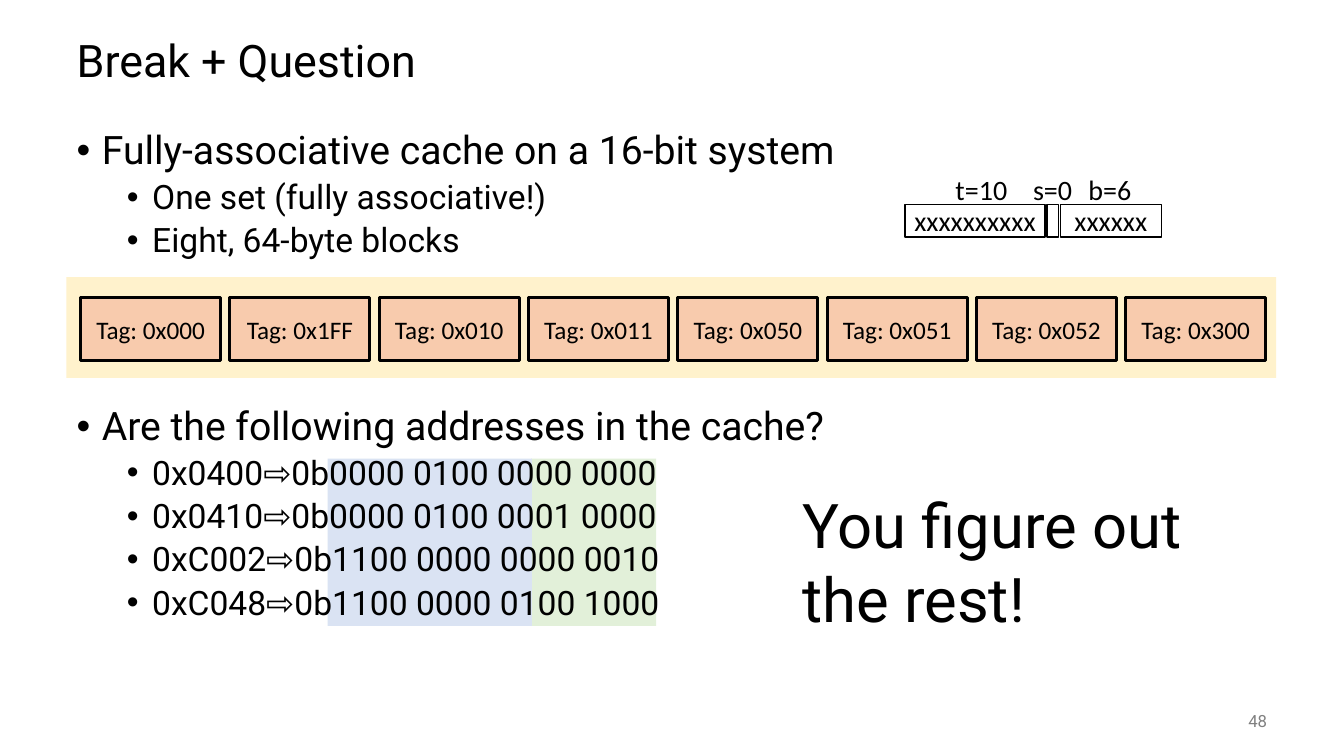
import pptx
import pptx.dml.color
import pptx.enum.shapes
import pptx.enum.text
import pptx.oxml.ns
import pptx.util
from lxml import etree

Pt = pptx.util.Pt
RGBColor = pptx.dml.color.RGBColor
ALIGN = pptx.enum.text.PP_ALIGN
ANCHOR = pptx.enum.text.MSO_ANCHOR
AUTO_SIZE = pptx.enum.text.MSO_AUTO_SIZE
RECTANGLE = pptx.enum.shapes.MSO_SHAPE.RECTANGLE

BLACK = RGBColor(0x00, 0x00, 0x00)
WHITE = RGBColor(0xFF, 0xFF, 0xFF)
GRAY = RGBColor(0x80, 0x80, 0x80)
GREEN = RGBColor(0xE2, 0xF0, 0xD9)
BLUE = RGBColor(0xDA, 0xE3, 0xF3)
YELLOW = RGBColor(0xFF, 0xF2, 0xCC)
ORANGE = RGBColor(0xF8, 0xCB, 0xAD)

# Content
HEADING = "Break + Question"
# (level, space before, text); the wide space leaves room for the cache row
BULLETS = [
    (0, 0, "Fully-associative cache on a 16-bit system"),
    (1, 5, "One set (fully associative!)"),
    (1, 5, "Eight, 64-byte blocks"),
    (0, 105, "Are the following addresses in the cache?"),
    (1, 5, "0x0400⇨0b0000 0100 0000 0000"),
    (1, 5, "0x0410⇨0b0000 0100 0001 0000"),
    (1, 5, "0xC002⇨0b1100 0000 0000 0010"),
    (1, 5, "0xC048⇨0b1100 0000 0100 1000"),
]
TAGS = ["0x000", "0x1FF", "0x010", "0x011", "0x050", "0x051", "0x052", "0x300"]
# (bits, left, width) of each address field
ADDRESS_FIELDS = [("x" * 10, 646.5, 100), ("", 748, 8), ("x" * 6, 757.5, 72)]
# (text, left, width) of the label over each field
FIELD_LABELS = [("t=10", 675.4, 51.8), ("s=0", 730.8, 42.5), ("b=6", 770.4, 45.4)]
# (colour, left, width) of the bit-range highlights
HIGHLIGHTS = [(GREEN, 379.4, 89.3), (BLUE, 234, 146)]
ANSWER = "You figure out the rest!"
PAGE = "48"

# Geometry and level formats
MARGIN, CONTENT_WIDTH = 47.5, 864
TAG_LEFT, TAG_WIDTH, TAG_PITCH = 57.6, 100, 106.65
LEVEL_SIZES = (28, 24)
LEVEL_INDENTS = (18, 54)
HANGING = 18


def apply(target, formats):
    for name, value in formats.items():
        setattr(target, name, value)


def place(shape, left, top, width, height):
    apply(shape, {"left": Pt(left), "top": Pt(top),
                  "width": Pt(width), "height": Pt(height)})


def write(shape, text, size, font="Calibri", color=BLACK, align=ALIGN.LEFT,
          anchor=ANCHOR.TOP, wrap=True, spacing=1.0):
    apply(shape.text_frame, {"text": text, "word_wrap": wrap,
                             "vertical_anchor": anchor,
                             "auto_size": AUTO_SIZE.NONE})
    paragraph = shape.text_frame.paragraphs[0]
    apply(paragraph, {"alignment": align, "line_spacing": spacing})
    apply(paragraph.font, {"name": font, "size": Pt(size)})
    paragraph.font.color.rgb = color


def add_box(box, fill, line_width=0):
    shape = slide.shapes.add_shape(RECTANGLE, *map(Pt, box))
    shape.shadow.inherit = False
    shape.fill.solid()
    shape.fill.fore_color.rgb = fill
    if line_width:
        shape.line.color.rgb = BLACK
        shape.line.width = Pt(line_width)
    else:
        shape.line.fill.background()
    return shape


def add_label(box, text, size, **formats):
    label = slide.shapes.add_textbox(*map(Pt, box))
    write(label, text, size, **formats)


def add_bullet(paragraph, level):
    properties = paragraph._p.get_or_add_pPr()
    properties.set("marL", str(Pt(LEVEL_INDENTS[level])))
    properties.set("indent", str(-Pt(HANGING)))
    for tag, name, value in (("a:buFont", "typeface", "Arial"),
                             ("a:buChar", "char", "•")):
        etree.SubElement(properties, pptx.oxml.ns.qn(tag)).set(name, value)


presentation = pptx.Presentation()
apply(presentation, {"slide_width": Pt(960), "slide_height": Pt(540)})
slide = presentation.slides.add_slide(presentation.slide_layouts[1])
heading, bullets = slide.placeholders

# Highlights go behind the bullet text
for color, left, width in HIGHLIGHTS:
    highlight = add_box((left, 327.6, width, 119.5), color)
    heading.element.addprevious(highlight.element)

# Title
place(heading, MARGIN, 18, CONTENT_WIDTH, 54)
write(heading, HEADING, 32, font="Roboto", anchor=ANCHOR.MIDDLE, spacing=0.9)

# Bullets
place(bullets, MARGIN, 90, CONTENT_WIDTH, 396)
apply(bullets.text_frame, {"text": "\n".join(text for _, _, text in BULLETS),
                           "auto_size": AUTO_SIZE.NONE})
for paragraph, (level, before, _) in zip(bullets.text_frame.paragraphs, BULLETS):
    apply(paragraph, {"level": level, "line_spacing": 0.9,
                      "space_before": Pt(before), "space_after": Pt(0)})
    add_bullet(paragraph, level)
    apply(paragraph.font, {"name": "Roboto", "size": Pt(LEVEL_SIZES[level])})
    paragraph.font.color.rgb = BLACK

# Page number
add_label((840.25, 500.4, 72, 28.8), PAGE, 12, font="Roboto", color=GRAY,
          align=ALIGN.RIGHT, anchor=ANCHOR.MIDDLE)

# Cache row
add_box((MARGIN, 198, CONTENT_WIDTH, 72), YELLOW)
for column, tag in enumerate(TAGS):
    block = add_box((TAG_LEFT + column * TAG_PITCH, 212.4, TAG_WIDTH, 45.4),
                    ORANGE, 2.25)
    write(block, f"Tag: {tag}", 18, align=ALIGN.CENTER, anchor=ANCHOR.MIDDLE)

# Address layout
for bits, left, width in ADDRESS_FIELDS:
    field = add_box((left, 146.2, width, 23), WHITE, 1)
    if bits:
        write(field, bits, 20, align=ALIGN.CENTER, anchor=ANCHOR.MIDDLE, wrap=False)
for text, left, width in FIELD_LABELS:
    add_label((left, 119.5, width, 31), text, 20, wrap=False)

# Answer
add_label((566, 344.2, 296.6, 113.8), ANSWER, 44, font="Roboto")

presentation.save("out.pptx")
